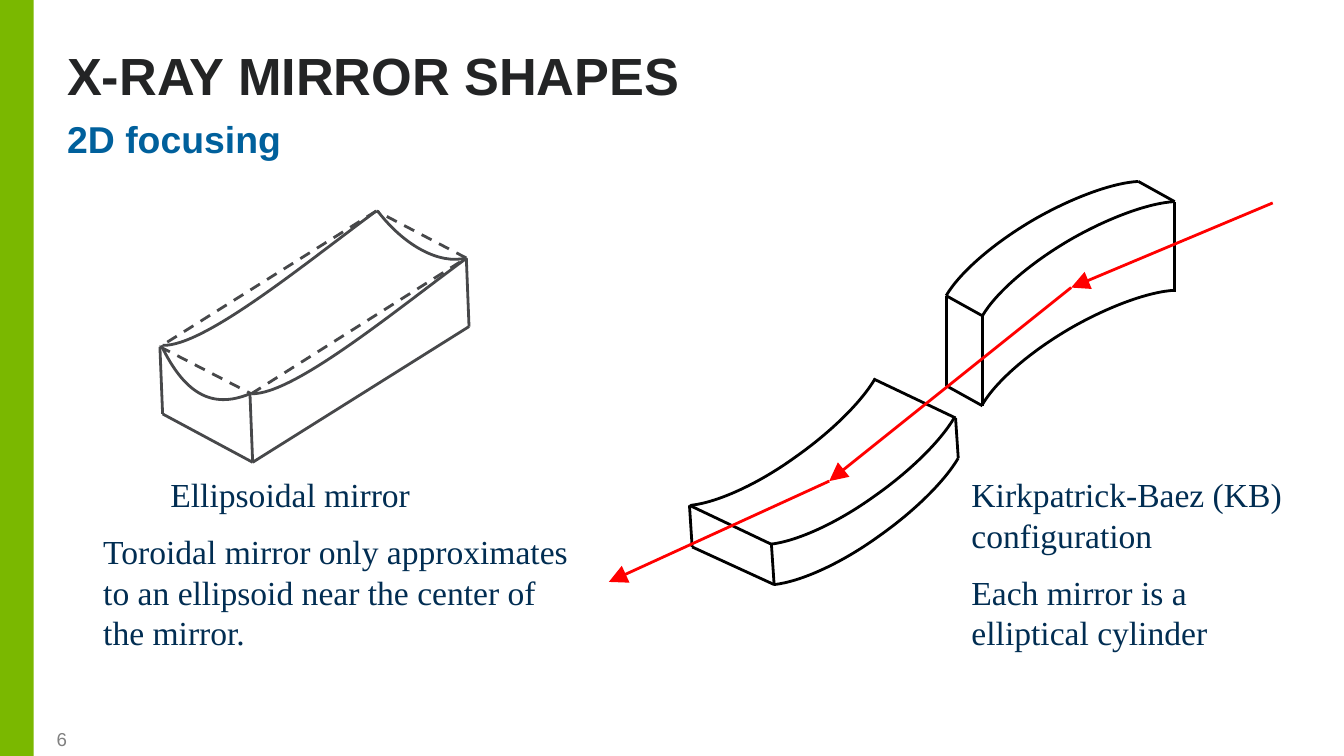
from lxml.etree import SubElement
from pptx import Presentation
from pptx.dml.color import RGBColor
from pptx.enum.dml import MSO_LINE
from pptx.enum.shapes import MSO_CONNECTOR, MSO_SHAPE
from pptx.enum.text import MSO_ANCHOR, PP_ALIGN
from pptx.oxml.ns import qn
from pptx.util import Inches, Pt

# Content: text, place, insets, style
HEADINGS = [
    dict(text="X-RAY MIRROR SHAPES", at=(0.5, 0.3, 9.16, 0.5), size=28,
         color="232425", spacing=0.95, anchor=MSO_ANCHOR.BOTTOM),
    dict(text="2D focusing", at=(0.5, 0.9, 9.16, 0.3), size=20,
         color="00609C", spacing=0.9, anchor=MSO_ANCHOR.TOP),
]
# Each caption: place, then (paragraph, first-line indent)
CAPTIONS = [
    ((0.67, 3.48, 3.67, 1.46), [
        ("Ellipsoidal mirror", 0.5),
        ("Toroidal mirror only approximates to an ellipsoid near the center of the mirror.", 0),
    ]),
    ((7.13, 3.48, 2.55, 1.46), [
        ("Kirkpatrick-Baez (KB) configuration", 0),
        ("Each mirror is a elliptical cylinder", 0),
    ]),
]

# Mirrors: polylines are straight edges; a curve is a start point followed by
# cubic Bezier points, drawn once for every shift
ELLIPSOIDAL = dict(
    color="47484A",
    dashed=[[(1.19, 2.58), (1.87, 2.93), (3.47, 1.92), (2.8, 1.57), (1.19, 2.58)]],
    edges=[[(1.19, 2.58), (1.21, 3.08), (1.88, 3.44), (3.49, 2.43), (3.47, 1.92)],
           [(1.86, 2.93), (1.88, 3.44)]],
    curves=[
        ([(1.86, 2.93), (1.57, 3.05), (1.37, 2.92), (1.2, 2.57)], [(0, 0)]),
        ([(3.47, 1.92), (3.27, 1.97), (3.01, 1.83), (2.81, 1.57)], [(0, 0)]),
        ([(3.46, 1.93), (2.93, 2.32), (2.18, 2.94), (1.87, 2.93)],
         [(0, 0), (-0.66, -0.36)]),
    ],
)
UPRIGHT = dict(
    color="000000",
    dashed=[],
    edges=[[(7.31, 2.35), (7.04, 2.2), (7.04, 2.87), (7.31, 3.02), (7.31, 2.35)],
           [(8.47, 1.35), (8.74, 1.5), (8.74, 2.17)]],
    curves=[
        ([(7.04, 2.2), (7.14, 2.03), (7.39, 1.81), (7.7, 1.63),
          (7.98, 1.47), (8.28, 1.36), (8.47, 1.35)],
         [(0, 0), (0.27, 0.15), (0.27, 0.81)]),
    ],
)
FLAT = dict(
    color="000000",
    dashed=[],
    edges=[[(5.74, 4.05), (5.13, 3.76), (5.15, 4.07), (5.76, 4.35), (5.74, 4.05)],
           [(6.5, 2.82), (7.11, 3.11), (7.13, 3.41)]],
    curves=[
        ([(5.14, 3.76), (5.33, 3.74), (5.63, 3.61), (5.92, 3.4),
          (6.19, 3.21), (6.41, 2.99), (6.51, 2.82)],
         [(0, 0), (0.59, 0.29), (0.62, 0.59)]),
    ],
)
BEAM = [(9.47, 1.51), (7.97, 2.14), (6.17, 3.58), (4.53, 4.33)]


def rgb(code):
    return RGBColor.from_string(code)


def add_text(page, at, texts, font, size, color, bold=False,
             anchor=MSO_ANCHOR.TOP, insets=(0, 0, 0, 0)):
    frame = page.shapes.add_textbox(*map(Inches, at)).text_frame
    frame.word_wrap = True
    frame.vertical_anchor = anchor
    (frame.margin_left, frame.margin_top,
     frame.margin_right, frame.margin_bottom) = map(Inches, insets)
    frame.text = "\n".join(texts)
    for para in frame.paragraphs:
        for span in para.runs:
            span.font.name = font
            span.font.size = Pt(size)
            span.font.bold = bold
            span.font.color.rgb = rgb(color)
    return frame.paragraphs


def add_path(group, points, color, dashed=False, arrow=False):
    """Draw one connector for each step along the points."""
    for start, end in zip(points, points[1:]):
        edge = group.shapes.add_connector(
            MSO_CONNECTOR.STRAIGHT, *map(Inches, start + end))
        edge.line.color.rgb = rgb(color)
        edge.line.width = Pt(1.5)
        if dashed:
            edge.line.dash_style = MSO_LINE.DASH
        if arrow:
            SubElement(edge.line._get_or_add_ln(), qn("a:tailEnd"),
                       type="triangle", w="lg", len="lg")
        SubElement(edge._element.spPr, qn("a:effectLst"))


def add_curve(group, points, shift, color):
    """Build a freeform, then turn each three line steps into one Bezier step."""
    dx, dy = shift
    places = [(Inches(x + dx), Inches(y + dy)) for x, y in points]
    builder = group.shapes.build_freeform(*places[0])
    builder.add_line_segments(places[1:], close=False)
    curve = builder.convert_to_shape()
    curve.shadow.inherit = False
    curve.fill.background()
    curve.line.color.rgb = rgb(color)
    curve.line.width = Pt(1.5)
    outline = next(curve._element.iter(qn("a:path")))
    steps = outline.findall(qn("a:lnTo"))
    for first in range(0, len(steps), 3):
        bezier = SubElement(outline, qn("a:cubicBezTo"))
        for step in steps[first:first + 3]:
            bezier.append(step[0])
            outline.remove(step)


def add_mirror(group, mirror):
    for points in mirror["dashed"]:
        add_path(group, points, mirror["color"], dashed=True)
    for points in mirror["edges"]:
        add_path(group, points, mirror["color"])
    for points, shifts in mirror["curves"]:
        for shift in shifts:
            add_curve(group, points, shift, mirror["color"])


def main():
    # Widescreen page, 16 to 9
    deck = Presentation()
    deck.slide_width = Inches(10)
    deck.slide_height = deck.slide_width * 9 // 16
    page = deck.slides.add_slide(deck.slide_layouts[6])

    # Green side bar
    bar = page.shapes.add_shape(
        MSO_SHAPE.RECTANGLE, 0, 0, Inches(0.25), deck.slide_height)
    bar.shadow.inherit = False
    bar.fill.solid()
    bar.fill.fore_color.rgb = rgb("7AB800")
    bar.line.fill.background()

    # Title and subtitle
    for item in HEADINGS:
        paras = add_text(page, item["at"], [item["text"]], "Arial", item["size"],
                         item["color"], bold=True, anchor=item["anchor"])
        paras[0].line_spacing = item["spacing"]

    # Ellipsoidal mirror, then the mirror pair with its beam
    add_mirror(page.shapes.add_group_shape(), ELLIPSOIDAL)
    pair = page.shapes.add_group_shape()
    add_mirror(pair, UPRIGHT)
    add_mirror(pair, FLAT)
    add_path(pair, BEAM, "FF0000", arrow=True)

    # Captions
    for at, lines in CAPTIONS:
        paras = add_text(page, at, [text for text, _ in lines], "Times New Roman",
                         18, "012D52", insets=(0.1, 0.05, 0.1, 0.05))
        for index, (para, (_, indent)) in enumerate(zip(paras, lines)):
            if index:
                para.space_before = Pt(9)
            if indent:
                para._p.get_or_add_pPr().set("indent", str(Inches(indent)))

    # Page number
    paras = add_text(page, (0.21, 5.43, 0.5, 0.15), ["6"], "Arial", 10, "808080",
                     anchor=MSO_ANCHOR.BOTTOM, insets=(0, 0.05, 0, 0))
    paras[0].alignment = PP_ALIGN.CENTER

    deck.save("out.pptx")


if __name__ == "__main__":
    main()
